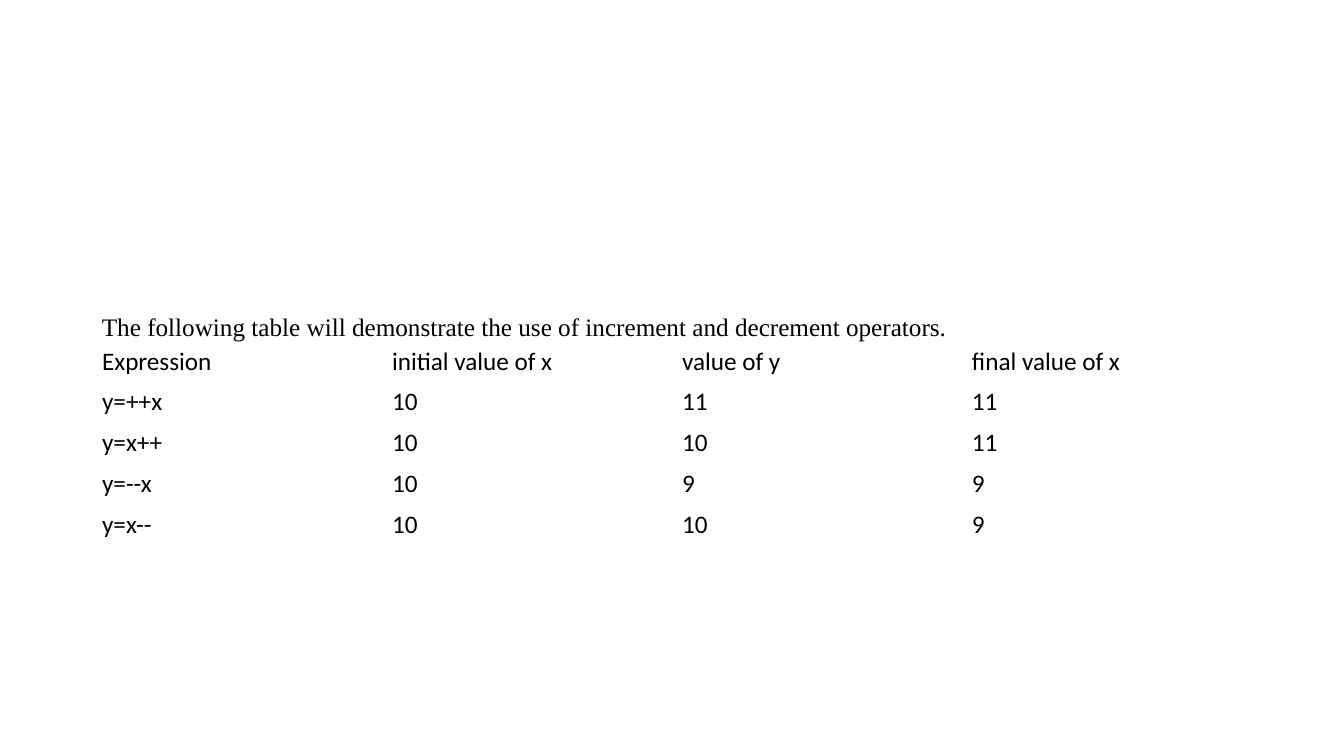
"""Build a slide with a table of increment and decrement operators."""
from pptx import Presentation
from pptx.dml.color import RGBColor
from pptx.enum.text import MSO_ANCHOR
from pptx.util import Pt

MIDDLE = MSO_ANCHOR.MIDDLE

INTRO = "The following table will demonstrate the use of increment and decrement operators."
ROWS = [
    ("Expression", "initial value of x", "value of y", "final value of x"),
    ("y=++x", "10", "11", "11"),
    ("y=x++", "10", "10", "11"),
    ("y=--x", "10", "9", "9"),
    ("y=x--", "10", "10", "9"),
]
COLORS = {"text": "000000"}
WIDE, HIGH = 1344, 756
LEFT, TOP = 92, 341
COL, ROW = 290, 40
INTRO_H = 39
INTRO_TOP = TOP + 5 - INTRO_H
SIZE = 18


def px(count):
    return round(count * 12192000 / WIDE)


def style(frame, face):
    for para in frame.paragraphs:
        for run in para.runs:
            run.font.name = face
            run.font.size = Pt(SIZE)
            run.font.color.rgb = RGBColor.from_string(COLORS["text"])


def add_grid(slide):
    cols = len(ROWS[0])
    box = map(px, (LEFT, TOP, cols * COL, len(ROWS) * ROW))
    table = slide.shapes.add_table(len(ROWS), cols, *box).table
    table.first_row = False
    table.horz_banding = False
    for r, row in enumerate(ROWS):
        for c, text in enumerate(row):
            cell = table.cell(r, c)
            cell.text_frame.text = text
            cell.vertical_anchor = MIDDLE
            cell.fill.background()
            style(cell.text_frame, "Calibri")


def add_intro(slide):
    box = map(px, (LEFT, INTRO_TOP, len(ROWS[0]) * COL, INTRO_H))
    frame = slide.shapes.add_textbox(*box).text_frame
    frame.word_wrap = True
    frame.vertical_anchor = MIDDLE
    frame.text = INTRO
    style(frame, "Times New Roman")


def main():
    deck = Presentation()
    deck.slide_width, deck.slide_height = px(WIDE), px(HIGH)
    slide = deck.slides.add_slide(deck.slide_layouts[6])
    add_grid(slide)
    add_intro(slide)
    deck.save("out.pptx")


if __name__ == "__main__":
    main()
